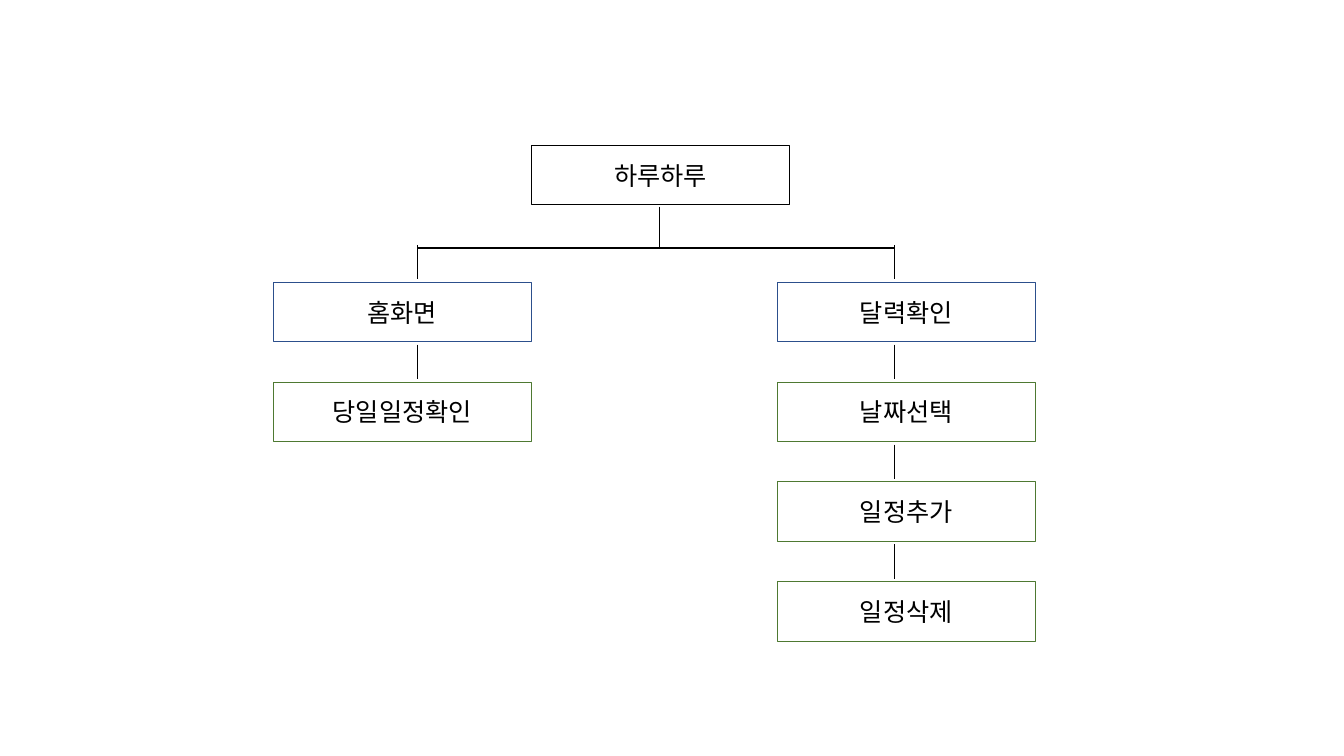
from dataclasses import dataclass

from lxml import etree
from pptx import Presentation
from pptx.dml.color import RGBColor
from pptx.enum.shapes import MSO_CONNECTOR, MSO_SHAPE
from pptx.enum.text import MSO_ANCHOR, PP_ALIGN
from pptx.oxml.ns import qn
from pptx.util import Inches, Pt

RECTANGLE = MSO_SHAPE.RECTANGLE
STRAIGHT = MSO_CONNECTOR.STRAIGHT
MIDDLE = MSO_ANCHOR.MIDDLE
CENTER = PP_ALIGN.CENTER


@dataclass(frozen=True)
class Theme:
    ink: str = "000000"
    blue: str = "2C4F8C"
    green: str = "4E7932"
    font: str = "Noto Sans CJK KR"
    text_size: float = 18
    box_line: float = 0.75
    branch_line: float = 1


@dataclass(frozen=True)
class Column:
    left: float
    stem: float
    labels: tuple


THEME = Theme()

# Grid, in inches
SLIDE_WIDTH, SLIDE_HEIGHT = 13.33, 7.5
BOX_WIDTH, BOX_HEIGHT = 2.56, 0.59
ROOT_LEFT, ROOT_TOP = 5.27, 1.44
FIRST_ROW, ROW_PITCH = 2.8, 0.99
STEM_LENGTH, STEM_GAP = 0.34, 0.03
TRUNK_X, TRUNK_TOP, BRANCH_Y = 6.54, 2.05, 2.46

ROOT_LABEL = "하루하루"
COLUMNS = (
    Column(2.71, 4.14, ("홈화면", "당일일정확인")),
    Column(7.71, 8.87, ("달력확인", "날짜선택", "일정추가", "일정삭제")),
)


def add_box(slide, left, top, label, line_color):
    shape = slide.shapes.add_shape(
        RECTANGLE, Inches(left), Inches(top), Inches(BOX_WIDTH), Inches(BOX_HEIGHT))
    shape.shadow.inherit = False
    shape.fill.background()
    shape.line.color.rgb = RGBColor.from_string(line_color)
    shape.line.width = Pt(THEME.box_line)

    frame = shape.text_frame
    frame.word_wrap = True
    frame.vertical_anchor = MIDDLE
    paragraph = frame.paragraphs[0]
    paragraph.alignment = CENTER
    run = paragraph.add_run()
    run.text = label
    run.font.size = Pt(THEME.text_size)
    run.font.color.rgb = RGBColor.from_string(THEME.ink)
    run.font.name = THEME.font
    # Korean text takes the East Asian typeface
    properties = run.font._element
    etree.SubElement(properties, qn("a:ea")).set("typeface", THEME.font)


def add_line(slide, x1, y1, x2, y2):
    connector = slide.shapes.add_connector(
        STRAIGHT, Inches(x1), Inches(y1), Inches(x2), Inches(y2))
    connector.line.color.rgb = RGBColor.from_string(THEME.ink)
    connector.line.width = Pt(THEME.branch_line)
    etree.SubElement(connector._element.spPr, qn("a:effectLst"))


def add_column(slide, column):
    for row, label in enumerate(column.labels):
        top = FIRST_ROW + row * ROW_PITCH
        add_box(slide, column.left, top, label, THEME.green if row else THEME.blue)
        stem_end = top - STEM_GAP
        add_line(slide, column.stem, stem_end - STEM_LENGTH, column.stem, stem_end)


def main():
    presentation = Presentation()
    presentation.slide_width = Inches(SLIDE_WIDTH)
    presentation.slide_height = Inches(SLIDE_HEIGHT)
    slide = presentation.slides.add_slide(presentation.slide_layouts[6])

    # Root and its branches
    add_box(slide, ROOT_LEFT, ROOT_TOP, ROOT_LABEL, THEME.ink)
    add_line(slide, TRUNK_X, TRUNK_TOP, TRUNK_X, BRANCH_Y)
    add_line(slide, COLUMNS[0].stem, BRANCH_Y, COLUMNS[-1].stem, BRANCH_Y)

    # Screens under each branch
    for column in COLUMNS:
        add_column(slide, column)

    presentation.save("out.pptx")


if __name__ == "__main__":
    main()
